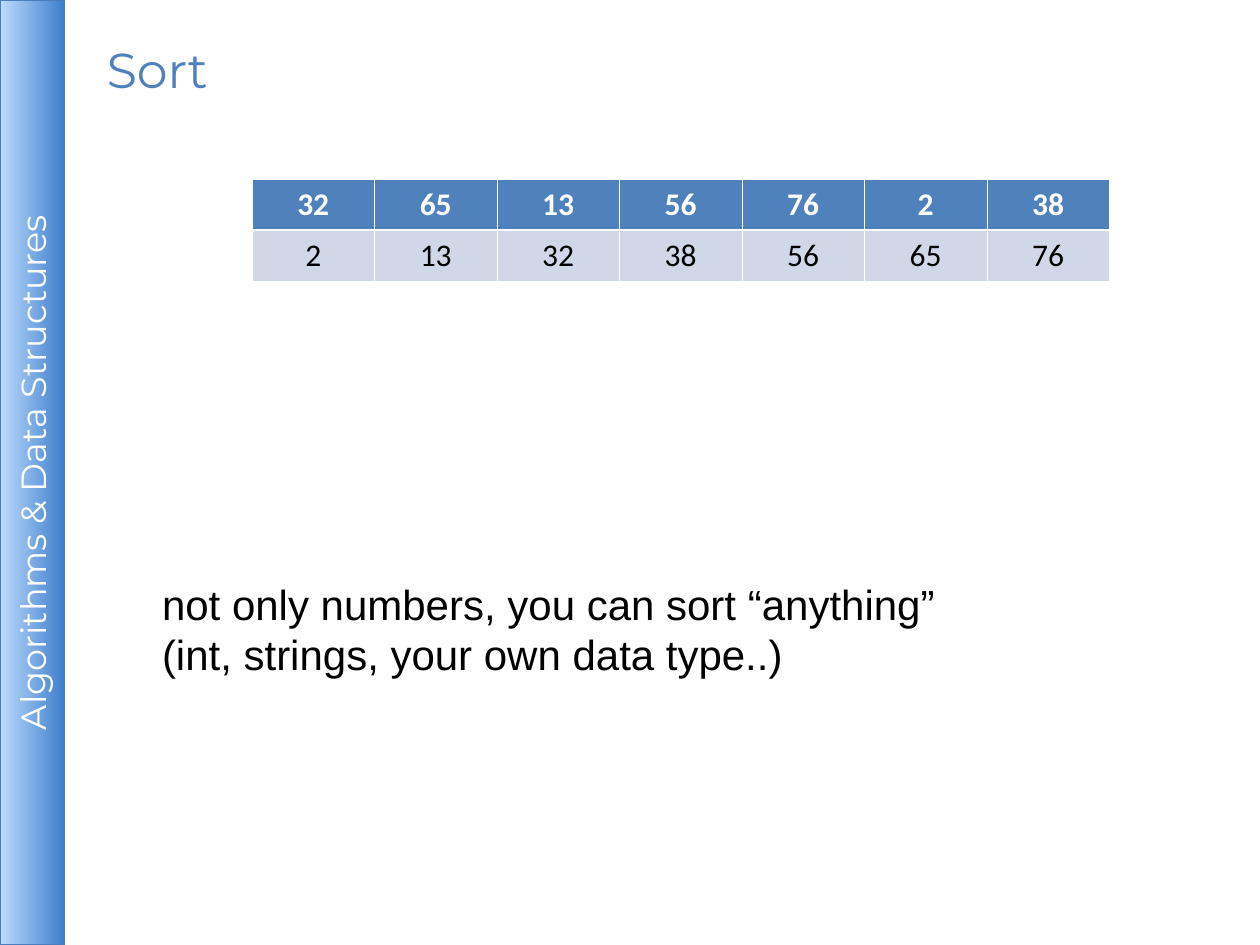
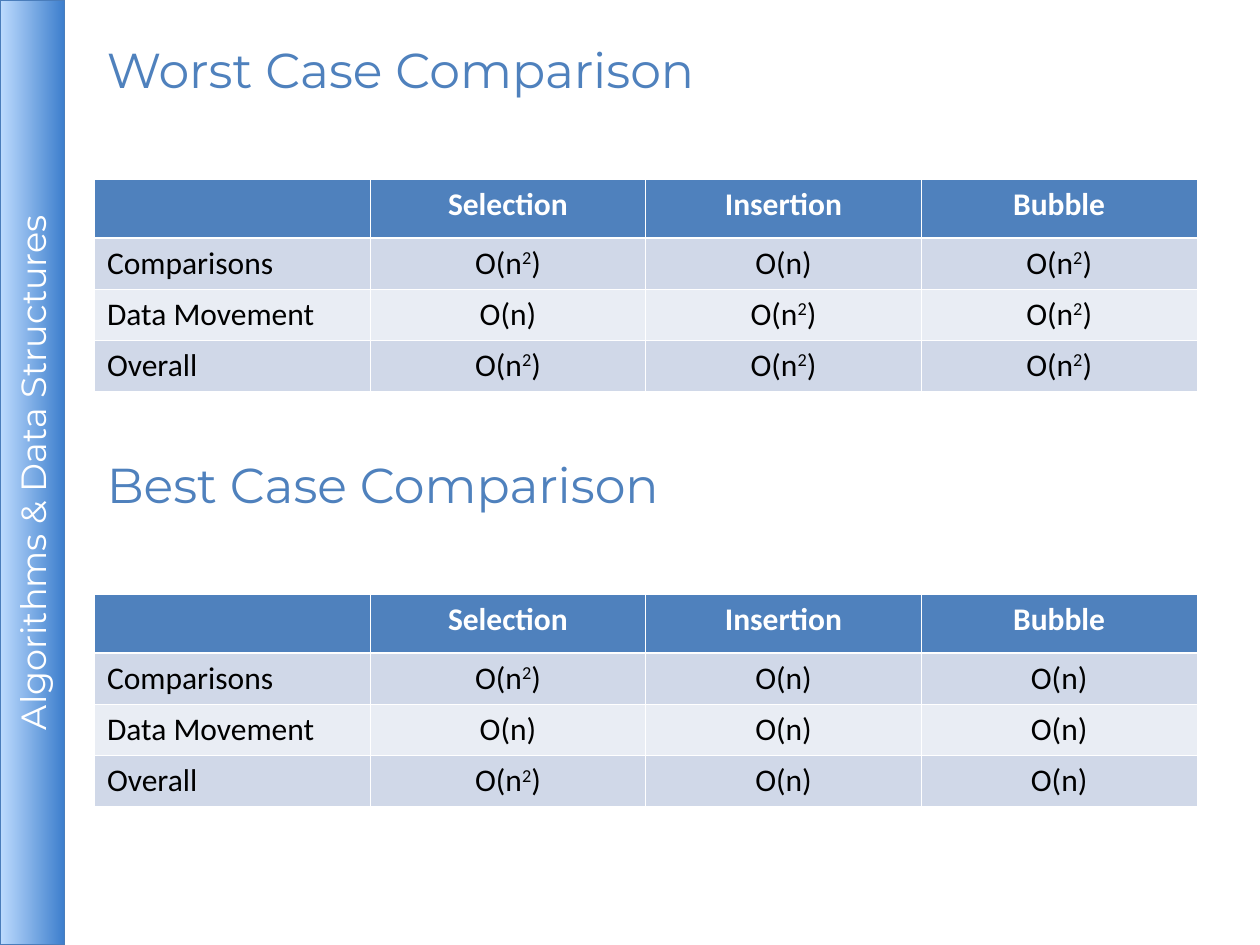
from collections import namedtuple

from lxml.etree import SubElement
from pptx import Presentation
from pptx.dml.color import RGBColor
from pptx.enum.shapes import MSO_SHAPE
from pptx.enum.text import MSO_ANCHOR, PP_ALIGN
from pptx.oxml.ns import qn
from pptx.util import Pt

Box = namedtuple("Box", "left top width height")

BLUE = RGBColor(0x4F, 0x81, 0xBD)
BAND_LIGHT = RGBColor(0xBD, 0xDB, 0xFE)
BAND_DARK = RGBColor(0x3E, 0x7F, 0xCD)
BAND_EDGE = RGBColor(0x4A, 0x7D, 0xBB)
ROW_ODD = RGBColor(0xD0, 0xD8, 0xE8)
ROW_EVEN = RGBColor(0xE9, 0xED, 0xF4)
WHITE = RGBColor(0xFF, 0xFF, 0xFF)
BLACK = RGBColor(0, 0, 0)

HEADING_FONT, BODY_FONT, TABLE_FONT = "Montserrat", "Arial", "Calibri"

PAGE = Box(0, 0, 720, 540)
BAND = Box(0, 0, 36.7, 540)
HEADING = Box(54, 11.5, 540, 56)
TABLE_DROP = 90.75
CASE_STEP = 237.25
ROW_HEIGHT = 29.2
LABELLED_HEADER_HEIGHT = 33.7
THIN, THICK = 0.45, 1.47

NUMBERS = [32, 65, 13, 56, 76, 2, 38]
ALGORITHMS = ["", "Selection", "Insertion", "Bubble"]
CASES = {
    "Worst Case Comparison": [
        ["Comparisons", "O(n²)", "O(n)", "O(n²)"],
        ["Data Movement", "O(n)", "O(n²)", "O(n²)"],
        ["Overall", "O(n²)", "O(n²)", "O(n²)"],
    ],
    "Best Case Comparison": [
        ["Comparisons", "O(n²)", "O(n)", "O(n)"],
        ["Data Movement", "O(n)", "O(n)", "O(n)"],
        ["Overall", "O(n²)", "O(n)", "O(n)"],
    ],
}


def in_points(box):
    """Convert a box of plain numbers to lengths."""
    return [Pt(length) for length in box]


def format_runs(text_frame, font_name, size, color, bold=False):
    """Give every run of a text frame the same font."""
    for paragraph in text_frame.paragraphs:
        for run in paragraph.runs:
            run.font.name = font_name
            run.font.size = Pt(size)
            run.font.bold = bold
            run.font.color.rgb = color


def add_course_band(slide, box):
    """Draw the upright course band that fills the given box."""
    left = box.left + (box.width - box.height) / 2
    top = box.top + (box.height - box.width) / 2
    band = slide.shapes.add_shape(
        MSO_SHAPE.RECTANGLE, *in_points((left, top, box.height, box.width)))
    band.rotation = 270
    band.shadow.inherit = False
    band.fill.gradient()
    band.fill.gradient_angle = 270
    for stop, color in zip(band.fill.gradient_stops, (BAND_LIGHT, BAND_DARK)):
        stop.color.rgb = color
    band.line.color.rgb = BAND_EDGE
    band.line.width = Pt(0.75)
    course = band.text_frame
    course.text = "Algorithms & Data Structures"
    course.vertical_anchor = MSO_ANCHOR.MIDDLE
    course.margin_left = course.margin_right = Pt(3)
    course.margin_top = course.margin_bottom = Pt(3)
    course.paragraphs[0].alignment = PP_ALIGN.CENTER
    format_runs(course, HEADING_FONT, 20, WHITE)


def add_text(slide, box, text, font_name, size, color, anchor=MSO_ANCHOR.TOP):
    """Place wrapped text in the given box."""
    text_frame = slide.shapes.add_textbox(*in_points(box)).text_frame
    text_frame.word_wrap = True
    text_frame.vertical_anchor = anchor
    text_frame.text = text
    format_runs(text_frame, font_name, size, color)


def add_heading(slide, box, text):
    """Place a blue heading in the given box."""
    add_text(slide, box, text, HEADING_FONT, 28, BLUE, MSO_ANCHOR.MIDDLE)


def set_borders(cell, top, bottom):
    """Draw the white rules around a cell."""
    properties = cell._tc.get_or_add_tcPr()
    for side, weight in (("L", THIN), ("R", THIN), ("T", top), ("B", bottom)):
        rule = SubElement(properties, qn(f"a:ln{side}"), w=str(Pt(weight)))
        fill = SubElement(rule, qn("a:solidFill"))
        SubElement(fill, qn("a:srgbClr"), val=str(WHITE))


def write_cell(cell, value, alignment, color, bold):
    """Write a value, raising a squared sign to superscript."""
    base, square, tail = str(value).partition("²")
    paragraph = cell.text_frame.paragraphs[0]
    paragraph.text = base
    paragraph.alignment = alignment
    if square:
        exponent = paragraph.add_run()
        exponent.text = "2"
        exponent._r.get_or_add_rPr().set("baseline", "30000")
        paragraph.add_run().text = tail
    format_runs(cell.text_frame, TABLE_FONT, 18, color, bold)


def add_banded_table(slide, box, rows, labelled=False):
    """Build a table with a blue header row in the given box."""
    table = slide.shapes.add_table(
        len(rows), len(rows[0]), *in_points(box)).table
    for column in table.columns:
        column.width = Pt(box.width / len(rows[0]))
    for r, values in enumerate(rows):
        header = r == 0
        table.rows[r].height = Pt(
            LABELLED_HEADER_HEIGHT if header and labelled else ROW_HEIGHT)
        for c, value in enumerate(values):
            cell = table.cell(r, c)
            set_borders(cell, THICK if r == 1 else THIN, THICK if header else THIN)
            cell.fill.solid()
            cell.fill.fore_color.rgb = (
                BLUE if header else ROW_ODD if r % 2 else ROW_EVEN)
            is_label = labelled and c == 0
            write_cell(cell, value, PP_ALIGN.LEFT if is_label else PP_ALIGN.CENTER,
                       WHITE if header else BLACK, header)


def add_slide(deck):
    """Add a blank slide that carries the course band."""
    slide = deck.slides.add_slide(deck.slide_layouts[6])
    add_course_band(slide, BAND)
    return slide


def build_sort_slide(deck):
    """Show numbers before and after sorting."""
    slide = add_slide(deck)
    add_heading(slide, HEADING, "Sort")
    add_banded_table(slide, Box(144, HEADING.top + TABLE_DROP, 490, 2 * ROW_HEIGHT),
                     [NUMBERS, sorted(NUMBERS)])
    add_text(slide, Box(85.5, 327, 633, 65),
             "not only numbers, you can sort “anything”\n"
             "(int, strings, your own data type..)", BODY_FONT, 24, BLACK)


def add_case(slide, box, name, costs):
    """Place a case heading with its table of costs below it."""
    add_heading(slide, Box(box.left, box.top, HEADING.width, HEADING.height), name)
    height = LABELLED_HEADER_HEIGHT + len(costs) * ROW_HEIGHT
    add_banded_table(slide, Box(box.left, box.top + TABLE_DROP, box.width, height),
                     [ALGORITHMS, *costs], labelled=True)


def build_comparison_slide(deck):
    """Compare the sorting algorithms case by case."""
    slide = add_slide(deck)
    for i, (name, costs) in enumerate(CASES.items()):
        box = Box(HEADING.left, HEADING.top + i * CASE_STEP, 630, CASE_STEP)
        add_case(slide, box, name, costs)


def main():
    """Build and save the deck."""
    deck = Presentation()
    deck.slide_width, deck.slide_height = Pt(PAGE.width), Pt(PAGE.height)
    build_sort_slide(deck)
    build_comparison_slide(deck)
    deck.save("out.pptx")


if __name__ == "__main__":
    main()
